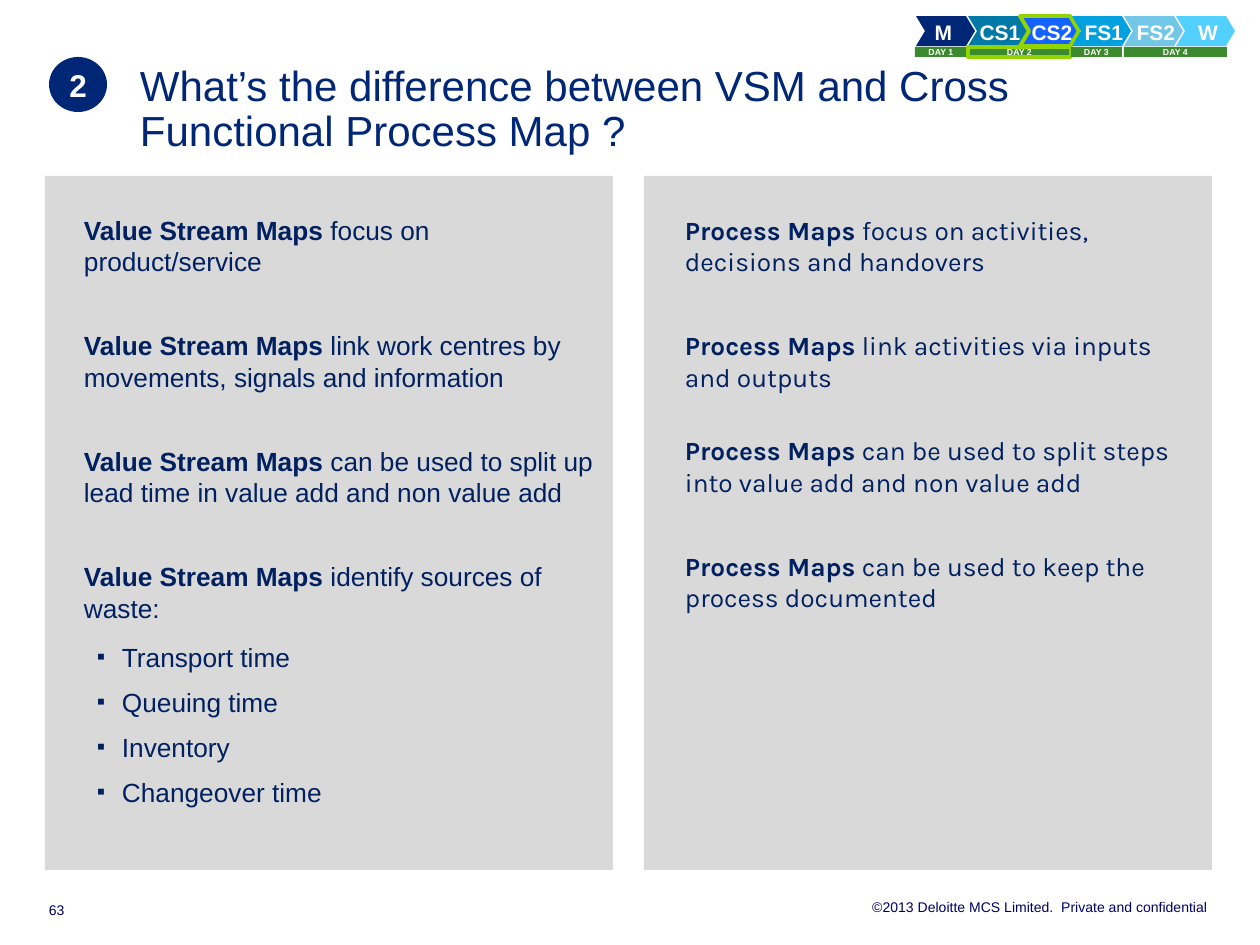
"""Build the slide comparing value stream maps with process maps."""
import pptx
import pptx.util
import pptx.dml.color
import pptx.enum.shapes
import pptx.enum.text
import lxml.etree

Pt = pptx.util.Pt
RGB = pptx.dml.color.RGBColor
KIND = pptx.enum.shapes.MSO_SHAPE
ALIGN = pptx.enum.text.PP_ALIGN
ANCHOR = pptx.enum.text.MSO_ANCHOR
FIT = pptx.enum.text.MSO_AUTO_SIZE
PX = 914400 / 126

NAVY = RGB(0x00, 0x27, 0x76)
INK = RGB(0x00, 0x20, 0x60)
SMALL = RGB(0x00, 0x00, 0x66)
TEAL = RGB(0x00, 0x79, 0xA6)
BLUE = RGB(0x14, 0x62, 0xFF)
CYAN = RGB(0x00, 0xA1, 0xDE)
PALE = RGB(0x72, 0xC7, 0xE7)
SKY = RGB(0x52, 0xD0, 0xFF)
GREEN = RGB(0x3C, 0x8A, 0x2E)
LIME = RGB(0x92, 0xD4, 0x00)
GREY = RGB(0xD9, 0xD9, 0xD9)
WHITE = RGB(0xFF, 0xFF, 0xFF)

deck = pptx.Presentation()
deck.slide_width = pptx.util.Inches(10)
deck.slide_height = pptx.util.Inches(7.5)
slide = deck.slides.add_slide(deck.slide_layouts[5])


def draw(kind, spot, fill=None, line=None):
    """Add a preset shape, or a text box when kind is None."""
    spot = [round(n * PX) for n in spot]
    if kind is None:
        return slide.shapes.add_textbox(*spot)
    shape = slide.shapes.add_shape(kind, *spot)
    shape.shadow.inherit = False
    shape.fill.solid()
    shape.fill.fore_color.rgb = fill
    if line:
        shape.line.color.rgb = line
        shape.line.width = Pt(2.25)
    else:
        shape.line.fill.background()
    return shape


def write(shape, paras, size, ink, inset=(0, 0, 0, 0), frame={}, form={}, face="Arial"):
    """Fill a shape with paragraphs made of (text, bold) runs."""
    body = shape.text_frame
    sides = ("left", "top", "right", "bottom")
    look = {"word_wrap": True, "auto_size": FIT.NONE, "vertical_anchor": ANCHOR.TOP}
    look |= {f"margin_{side}": round(n * PX) for side, n in zip(sides, inset)}
    for name, value in (look | frame).items():
        setattr(body, name, value)
    for i, runs in enumerate(paras):
        para = body.add_paragraph() if i else body.paragraphs[0]
        for name, value in form.items():
            setattr(para, name, value)
        for text, bold in runs:
            run = para.add_run()
            run.text = text
            run.font.color.rgb = ink
            for name, value in {"name": face, "size": Pt(size), "bold": bold}.items():
                setattr(run.font, name, value)
    return body.paragraphs


MID = {"vertical_anchor": ANCHOR.MIDDLE, "word_wrap": False}
CENTER = {"alignment": ALIGN.CENTER}

title = slide.shapes.title
for name, n in {"left": 40, "top": 64, "width": 1160, "height": 87}.items():
    setattr(title, name, round(n * PX))
write(title, [[("What’s the difference between VSM and Cross Functional Process Map ?", False)]],
      24, NAVY, (100, 0, 0, 0), form={"alignment": ALIGN.LEFT, "line_spacing": Pt(26)})

steps = [("M", NAVY), ("CS1", TEAL), ("CS2", BLUE), ("FS1", CYAN), ("FS2", PALE), ("W", SKY)]
for i, (label, fill) in enumerate(steps):
    step = draw(KIND.CHEVRON, (916 + 52 * i, 16, 59, 30), fill, LIME if label == "CS2" else None)
    step.adjustments[0] = 0.3
    write(step, [[(label, True)]], 12, WHITE, (25 if i else 16, 8, 20, 8), MID,
          CENTER | {"line_spacing": 1.1})

days = [(915, 52), (968, 103), (1071, 51), (1124, 103)]
for i, (left, width) in enumerate(days, 1):
    day = draw(KIND.RECTANGLE, (left, 47, width, 10), GREEN, LIME if i == 2 else None)
    write(day, [[(f"DAY {i}", True)]], 5, WHITE, (5, 0, 5, 0), form=CENTER)

badge = draw(KIND.OVAL, (49, 57, 58, 55), NAVY)
write(badge, [[("2", True)]], 18, WHITE, frame=MID, form=CENTER)

waste = ["Transport time", "Queuing time", "Inventory", "Changeover time"]
columns = [
    (45, 45, 678, "Arial", "Value Stream Maps", (30, 30, 30, 6), [
        " focus on product/service",
        " link work centres by movements, signals and information",
        " can be used to split up lead time in value add and non value add",
        " identify sources of waste:"], waste),
    (644, 646, 615, "Karla", "Process Maps", (30, 24, 30, 6), [
        " focus on activities, decisions and handovers",
        " link activities via inputs and outputs",
        " can be used to split steps into value add and non value add",
        " can be used to keep the process documented"], []),
]
for edge, left, height, face, lead, gaps, points, items in columns:
    draw(KIND.RECTANGLE, (edge, 176, 568, 694), GREY)
    text = draw(None, (left, 208, 566, height))
    paras = [[(lead, True), (point, False)] for point in points]
    paras += [[(item, False)] for item in items]
    lines = write(text, paras, 15, INK, (39, 6, 13, 6), form={"line_spacing": Pt(18)}, face=face)
    for para, gap in zip(lines, gaps):
        para.space_after = Pt(gap)
    for para in lines[len(points):]:
        para.level = 1
        prop = para._p.get_or_add_pPr()
        prop.set("marL", str(round(38 * PX)))
        prop.set("indent", str(round(-25 * PX)))
        for tag, key, value in (("buSzPct", "val", "90000"), ("buFont", "typeface", "Arial"),
                                ("buChar", "char", "▪")):
            mark = lxml.etree.SubElement(prop, pptx.oxml.ns.qn(f"a:{tag}"))
            mark.set(key, value)
        para.line_spacing = Pt(22)
        para.space_after = Pt(3.75)

notice = draw(None, (428, 898, 780, 16))
write(notice, [[("©2013 Deloitte MCS Limited.  Private and confidential", False)]], 8, SMALL,
      form={"alignment": ALIGN.RIGHT})
number = draw(None, (49, 902, 49, 16))
write(number, [[("63", False)]], 8, SMALL, frame={"vertical_anchor": ANCHOR.BOTTOM})

deck.save("out.pptx")
